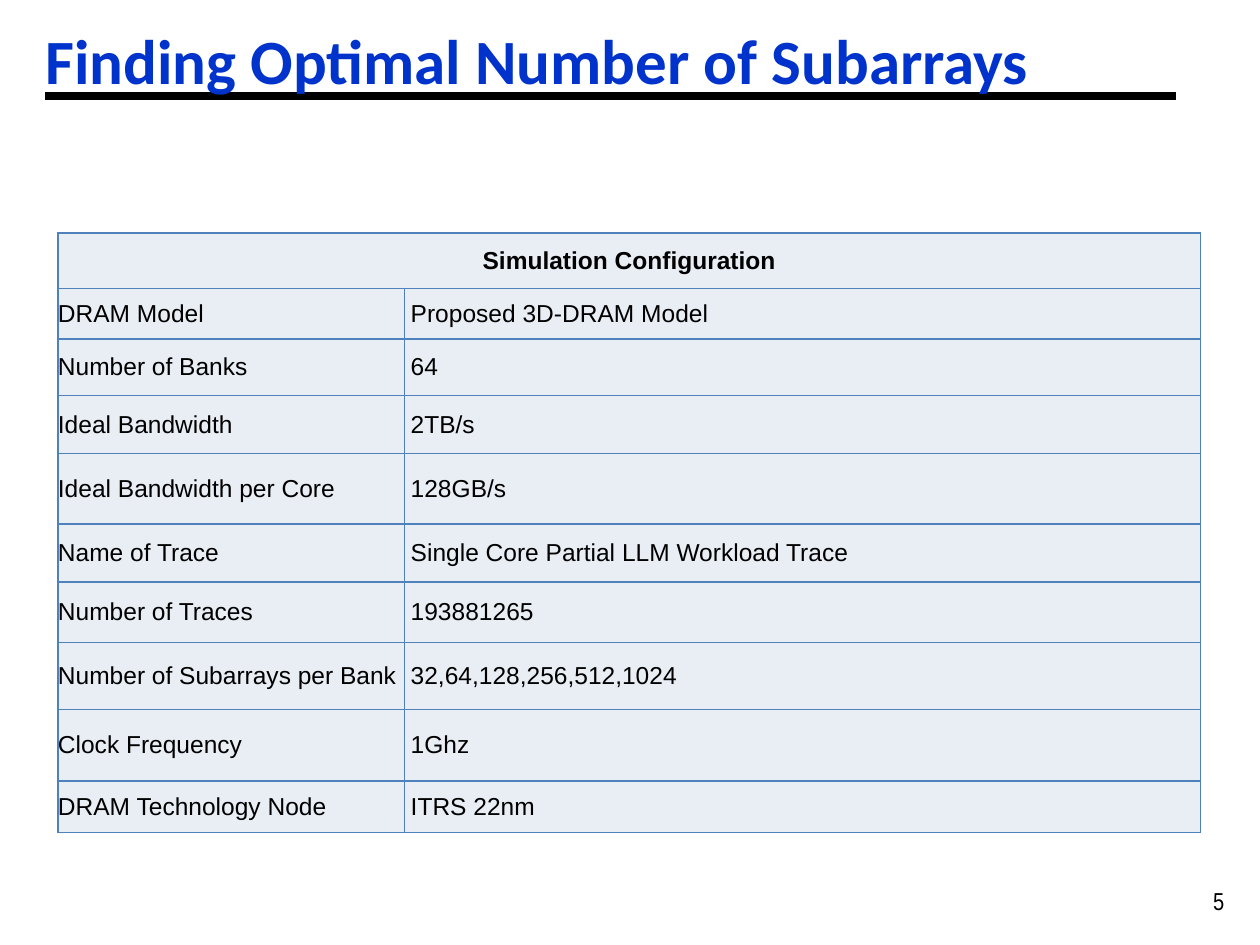
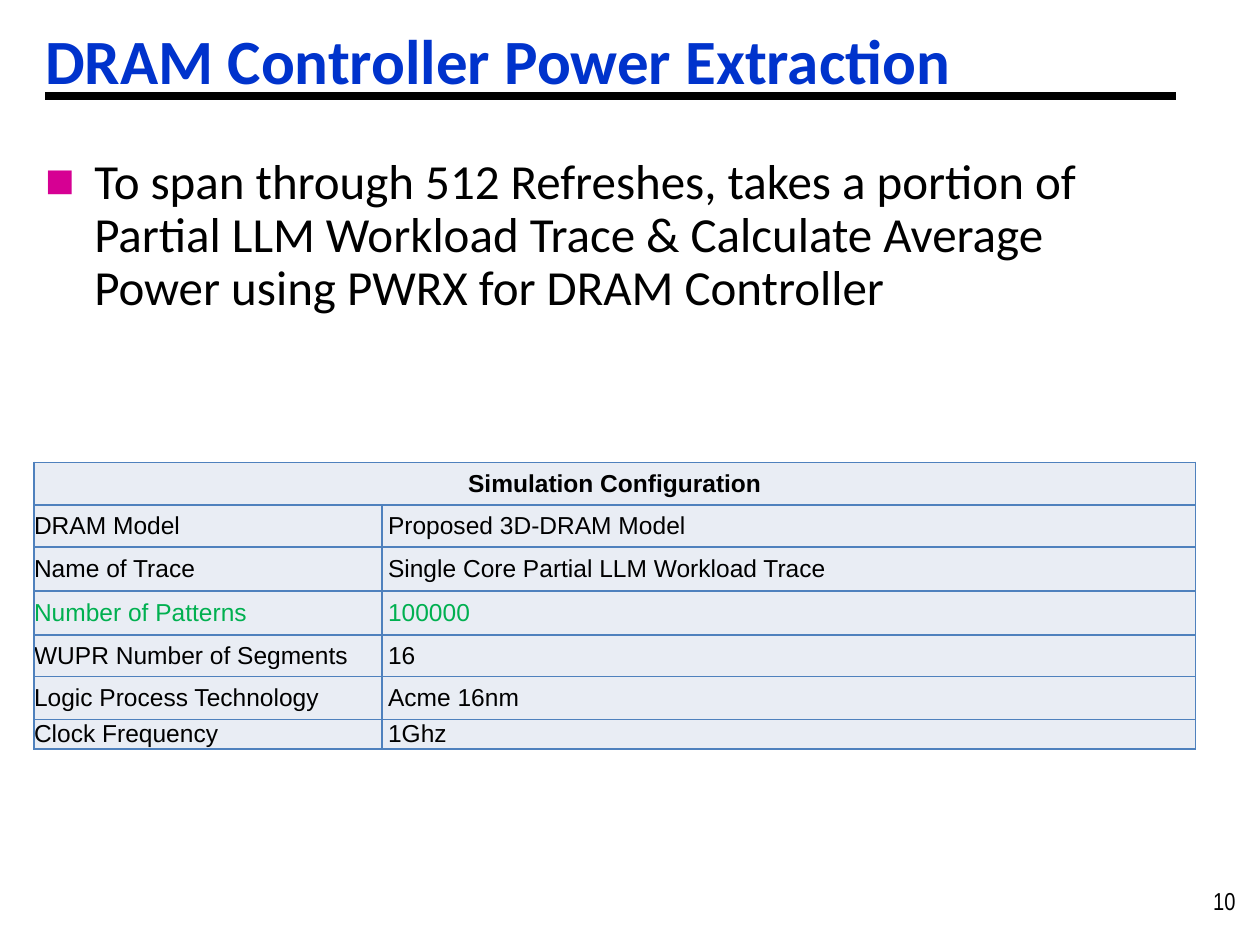
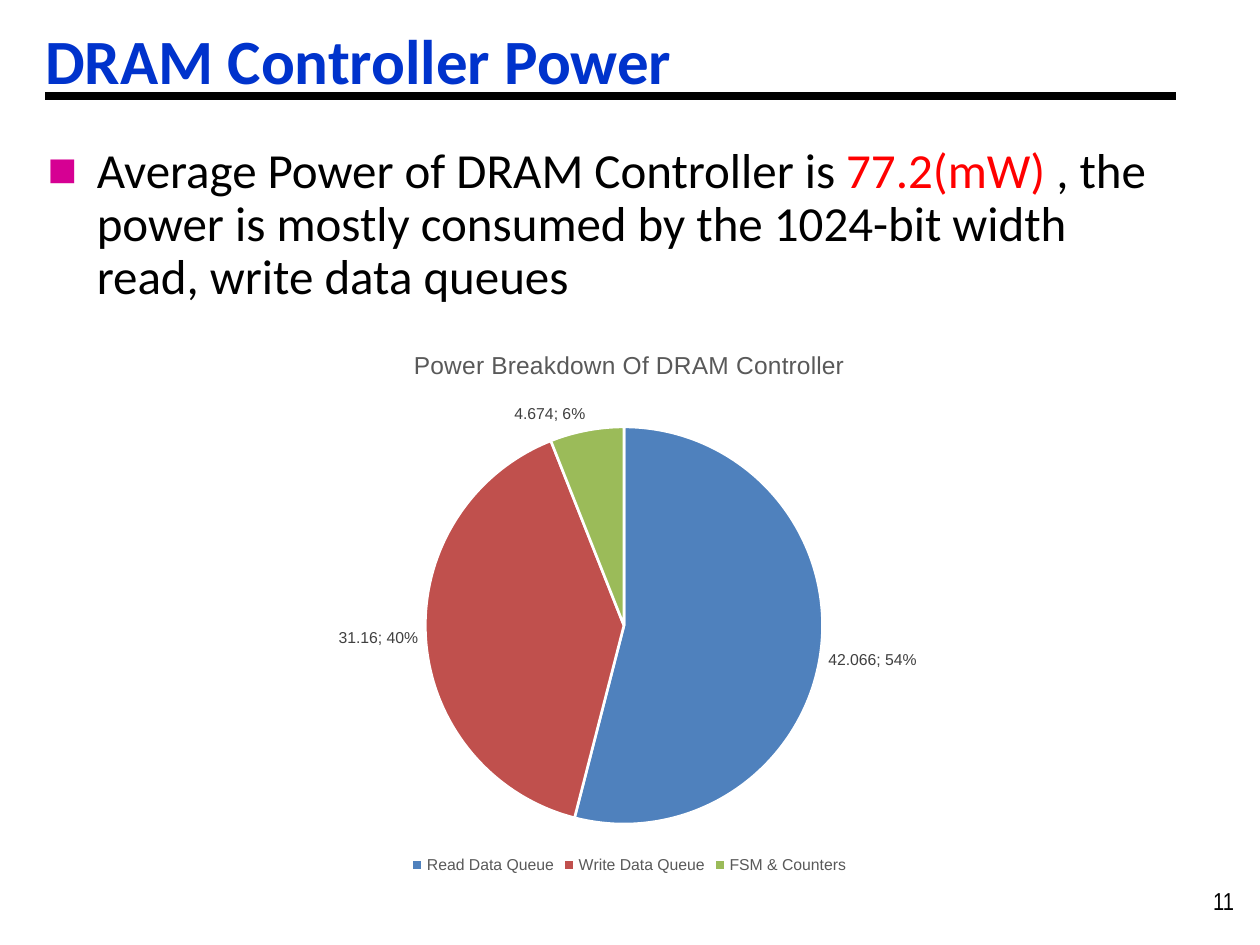
from lxml.etree import SubElement
from pptx import Presentation
from pptx.chart.data import CategoryChartData
from pptx.dml.color import RGBColor
from pptx.enum.chart import XL_CHART_TYPE as ChartType
from pptx.enum.chart import XL_LABEL_POSITION as LabelPosition
from pptx.enum.chart import XL_LEGEND_POSITION as LegendPosition
from pptx.enum.shapes import MSO_CONNECTOR as Connector
from pptx.enum.text import MSO_ANCHOR as Anchor
from pptx.enum.text import PP_ALIGN as Align
from pptx.oxml import parse_xml
from pptx.oxml.ns import nsdecls, qn
from pptx.util import Inches, Pt

BLACK, WHITE = "000000", "FFFFFF"
RED, GREEN, MAGENTA = "FF0000", "00B050", "D60093"
BORDER_BLUE, CELL_FILL = "4F81BD", "E9EDF4"
SLICE_COLOURS = ["4F81BD", "C0504D", "9BBB59"]
TITLE = {"name": "Calibri", "size": Pt(36), "bold": True, "color": "0033CC"}
BODY = {"name": "Calibri", "size": Pt(28), "color": BLACK}
NUMBER = {"name": "Arial Narrow", "size": Pt(14), "color": BLACK}
CELL = {"name": "Arial", "size": Pt(14), "bold": False, "color": BLACK}
CHART_TITLE = {"name": "Arial", "size": Pt(14), "bold": False, "color": "595959"}
LEGEND = {"name": "Arial", "size": Pt(9), "color": "595959"}
LABEL = {"name": "Arial", "size": Pt(9), "color": "404040"}

SUBARRAY_ROWS = [
    ("DRAM Model", "Proposed 3D-DRAM Model"),
    ("Number of Banks", "64"),
    ("Ideal Bandwidth", "2TB/s"),
    ("Ideal Bandwidth per Core", "128GB/s"),
    ("Name of Trace", "Single Core Partial LLM Workload Trace"),
    ("Number of Traces", "193881265"),
    ("Number of Subarrays per Bank", "32,64,128,256,512,1024"),
    ("Clock Frequency", "1Ghz"),
    ("DRAM Technology Node", "ITRS 22nm"),
]
POWER_ROWS = [
    ("DRAM Model", "Proposed 3D-DRAM Model"),
    ("Name of Trace", "Single Core Partial LLM Workload Trace"),
    ("Number of Patterns", "100000"),
    ("WUPR Number of Segments", "16"),
    ("Logic Process Technology", "Acme 16nm"),
    ("Clock Frequency", "1Ghz"),
]


def colour(value):
    """Turn a hex string into a colour."""
    return RGBColor.from_string(value)


def style(font, values):
    """Apply a dict of format values to a font."""
    for key, value in values.items():
        if key == "color":
            font.color.rgb = colour(value)
        else:
            setattr(font, key, value)


def add_text(page, place, spans, look, left_inset=0.1, anchor=Anchor.TOP):
    """Add a one-paragraph text box from (text, colour) spans and return the paragraph."""
    box = page.shapes.add_textbox(*map(Inches, place))
    frame = box.text_frame
    settings = {"word_wrap": True, "vertical_anchor": anchor, "margin_left": Inches(left_inset)}
    for key, value in settings.items():
        setattr(frame, key, value)
    para = frame.paragraphs[0]
    for text, tint in spans:
        span = para.add_run()
        span.text = text
        style(span.font, {**look, "color": tint})
    return para


def add_page(deck, title, number):
    """Add a blank slide with its number, rule and title."""
    page = deck.slides.add_slide(deck.slide_layouts[6])
    add_text(page, (9.53, 6.98, 0.47, 0.33), [(str(number), BLACK)], NUMBER)
    ends = map(Inches, (0.36, 0.76, 9.33, 0.76))
    rule = page.shapes.add_connector(Connector.STRAIGHT, *ends)
    rule.line.color.rgb = colour(BLACK)
    rule.line.width = Pt(4.5)
    SubElement(rule._element.spPr, qn("a:effectLst"))
    add_text(page, (0.36, 0.11, 9.64, 0.71), [(title, TITLE["color"])], TITLE, 0, Anchor.BOTTOM)
    return page


def add_bullet(page, left, top, spans):
    """Add a body paragraph with a square bullet."""
    para = add_text(page, (left, top, 8.94, 1.33), spans, BODY)
    para.line_spacing = 0.9
    props = para._p.get_or_add_pPr()
    props.set("marL", str(Inches(0.39)))
    props.set("indent", str(-Inches(0.39)))
    tint = SubElement(props, qn("a:buClr"))
    SubElement(tint, qn("a:srgbClr"), val=MAGENTA)
    SubElement(props, qn("a:buFont"), typeface="Arial")
    SubElement(props, qn("a:buChar"), char="■")


def add_borders(cell):
    """Draw a thin blue line on every side of a cell."""
    props = cell._tc.get_or_add_tcPr()
    for index, side in enumerate("LRTB"):
        props.insert(index, parse_xml(
            f'<a:ln{side} {nsdecls("a")} w="{Pt(1)}"><a:solidFill>'
            f'<a:srgbClr val="{BORDER_BLUE}"/></a:solidFill></a:ln{side}>'))


def fill_cell(cell, text, look, left_inset=0, align=Align.LEFT):
    """Write and format one table cell."""
    margins = {f"margin_{side}": 0 for side in ("right", "top", "bottom")}
    margins["margin_left"] = Inches(left_inset)
    for key, value in {**margins, "vertical_anchor": Anchor.MIDDLE}.items():
        setattr(cell, key, value)
    cell.fill.solid()
    cell.fill.fore_color.rgb = colour(CELL_FILL)
    add_borders(cell)
    para = cell.text_frame.paragraphs[0]
    para.alignment = align
    para.font.size = look["size"]
    if text:
        span = para.add_run()
        span.text = text
        style(span.font, look)


def add_configuration(page, left, top, widths, heights, rows, highlight=None):
    """Add a simulation table with a merged heading row."""
    frame = page.shapes.add_table(
        len(heights), 2, Inches(left), Inches(top), Inches(sum(widths)), Inches(sum(heights)))
    table = frame.table
    table.first_row = table.horz_banding = False
    for column, width in zip(table.columns, widths):
        column.width = Inches(width)
    for row, height in zip(table.rows, heights):
        row.height = Inches(height)
    heading = {**CELL, "bold": True}
    table.cell(0, 0).merge(table.cell(0, 1))
    fill_cell(table.cell(0, 0), "Simulation Configuration", heading, align=Align.CENTER)
    fill_cell(table.cell(0, 1), "", heading)
    for index, (name, value) in enumerate(rows, 1):
        look = {**CELL, "color": GREEN if name == highlight else BLACK}
        fill_cell(table.cell(index, 0), name, look)
        fill_cell(table.cell(index, 1), value, look, 0.05)


def place_plot(chart, **place):
    """Fix the inner plot area as fractions of the chart."""
    area = chart._chartSpace.chart.plotArea
    for old in area.findall(qn("c:layout")):
        area.remove(old)
    layout = parse_xml(f'<c:layout {nsdecls("c")}/>')
    manual = SubElement(layout, qn("c:manualLayout"))
    settings = {"layoutTarget": "inner", "xMode": "edge", "yMode": "edge", **place}
    for key, value in settings.items():
        SubElement(manual, qn(f"c:{key}"), val=str(value))
    area.insert(0, layout)


def add_power_pie(page):
    """Add the pie chart of controller power."""
    data = CategoryChartData()
    data.categories = ["Read Data Queue", "Write Data Queue", "FSM & Counters"]
    data.add_series("Series 1", (42.066, 31.16, 4.674))
    place = map(Inches, (0.73, 2.6, 8.53, 4.38))
    chart = page.shapes.add_chart(ChartType.PIE, *place, data).chart
    style(chart.font, {"name": "Arial", "size": Pt(10), "color": BLACK})
    chart.has_title = True
    span = chart.chart_title.text_frame.paragraphs[0].add_run()
    span.text = "Power Breakdown Of DRAM Controller"
    style(span.font, CHART_TITLE)
    chart.has_legend = True
    chart.legend.position = LegendPosition.BOTTOM
    chart.legend.include_in_layout = False
    style(chart.legend.font, LEGEND)
    plot = chart.plots[0]
    plot.vary_by_categories = True
    for index, tint in enumerate(SLICE_COLOURS):
        piece = plot.series[0].points[index].format
        piece.fill.solid()
        piece.fill.fore_color.rgb = colour(tint)
        piece.line.color.rgb = colour(WHITE)
        piece.line.width = Pt(1.5)
    labels = plot.series[0].data_labels
    settings = {"show_value": True, "show_percentage": True, "position": LabelPosition.OUTSIDE_END}
    for key, value in settings.items():
        setattr(labels, key, value)
    style(labels.font, LABEL)
    place_plot(chart, x=0.31, y=0.18, w=0.37, h=0.72)


def main():
    """Build the three slides."""
    deck = Presentation()
    deck.slide_width, deck.slide_height = Inches(10), Inches(7.5)

    page = add_page(deck, "Finding Optimal Number of Subarrays", 5)
    heights = [0.44, 0.4, 0.45, 0.46, 0.56, 0.46, 0.48, 0.53, 0.57, 0.41]
    add_configuration(page, 0.46, 1.85, (2.75, 6.32), heights, SUBARRAY_ROWS)

    page = add_page(deck, "DRAM Controller Power Extraction", 10)
    heights = [0.34, 0.33, 0.35, 0.35, 0.33, 0.34, 0.18]
    add_configuration(page, 0.27, 3.67, (2.76, 6.46), heights, POWER_ROWS, "Number of Patterns")
    add_bullet(page, 0.26, 1.2, [
        ("To span through 512 Refreshes, takes a portion of Partial LLM Workload Trace "
         "& Calculate Average Power using PWRX for DRAM Controller", BLACK)])

    page = add_page(deck, "DRAM Controller Power", 11)
    add_bullet(page, 0.28, 1.11, [
        ("Average Power of DRAM Controller is ", BLACK),
        ("77.2(mW) ", RED),
        (", the power is mostly consumed by the 1024-bit width read, write data queues", BLACK)])
    add_power_pie(page)

    deck.save("out.pptx")


if __name__ == "__main__":
    main()
